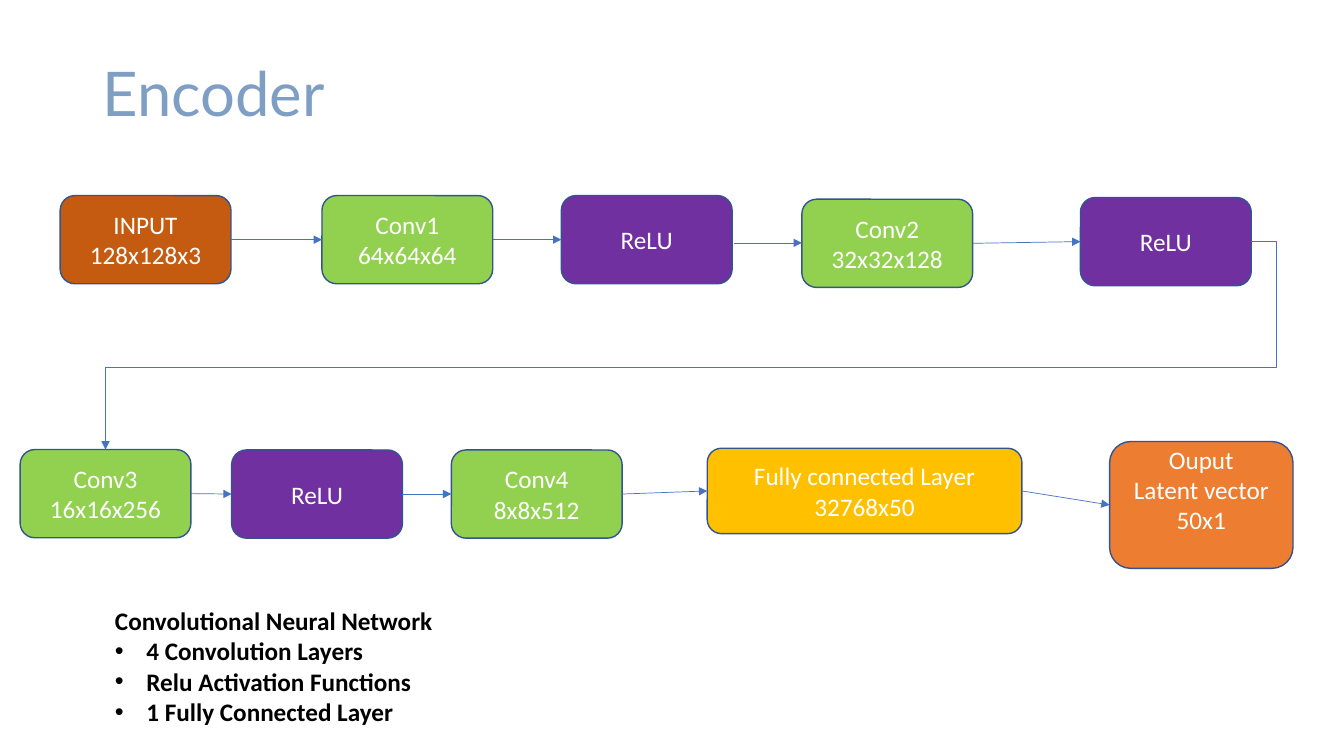
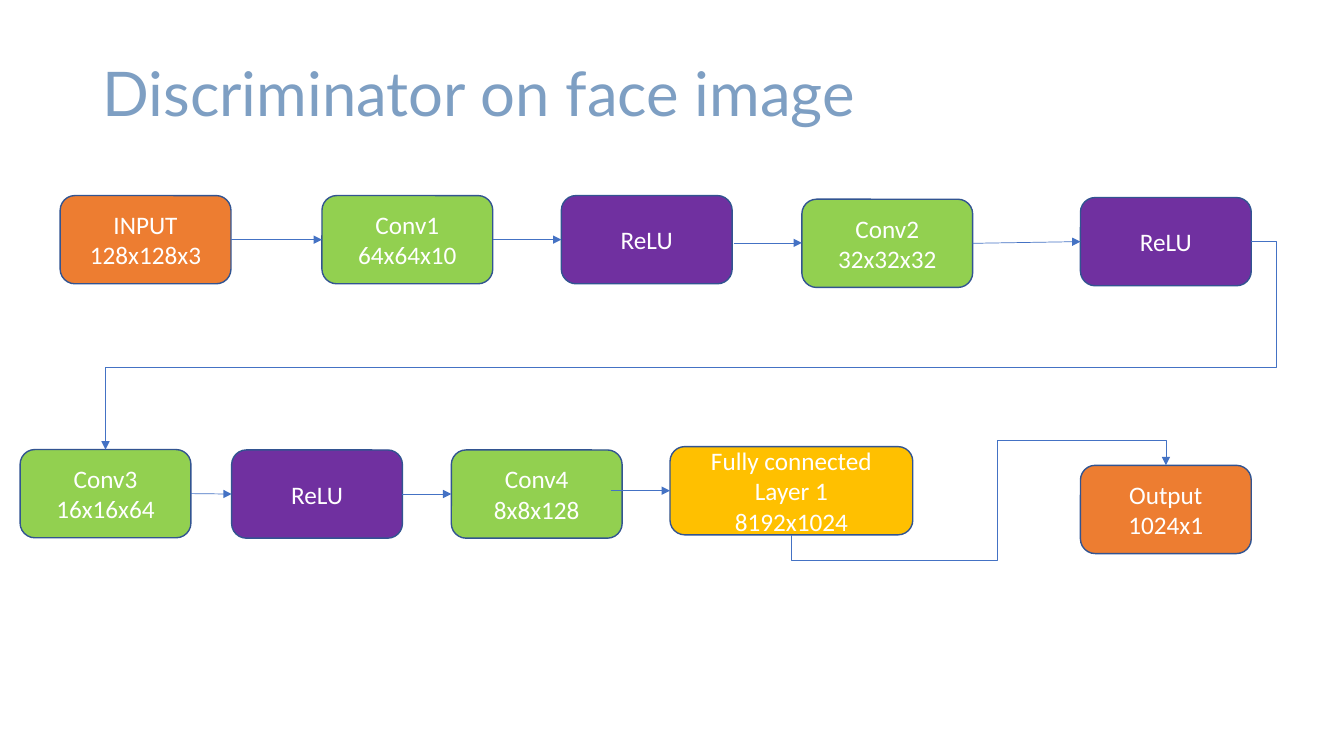
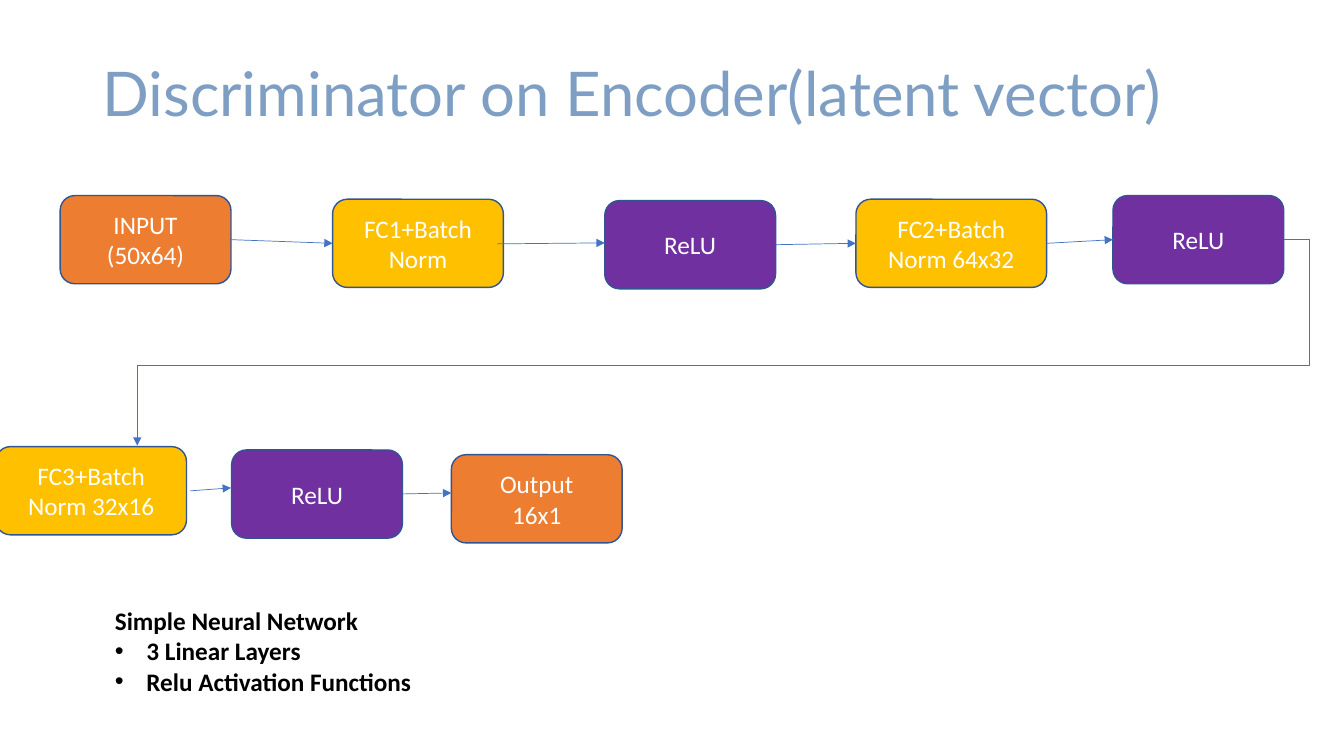
from dataclasses import dataclass
from typing import NamedTuple, Optional

from lxml import etree
from pptx import Presentation
from pptx.dml.color import RGBColor
from pptx.enum.shapes import MSO_CONNECTOR, MSO_SHAPE
from pptx.enum.text import MSO_ANCHOR, PP_ALIGN
from pptx.oxml.ns import qn
from pptx.util import Pt

ROUNDED = MSO_SHAPE.ROUNDED_RECTANGLE
STRAIGHT = MSO_CONNECTOR.STRAIGHT
ELBOW = MSO_CONNECTOR.ELBOW
MIDDLE = MSO_ANCHOR.MIDDLE
CENTER = PP_ALIGN.CENTER
LEFT = PP_ALIGN.LEFT
LEFT_SITE, RIGHT_SITE = 1, 3
TITLE_ONLY = 5


@dataclass(frozen=True)
class Theme:
    title: str = "7E9FC3"
    outline: str = "325491"
    arrow: str = "4472C4"
    light: str = "FFFFFF"
    dark: str = "000000"
    source: str = "C55A11"
    endpoint: str = "ED7D31"
    convolution: str = "92D050"
    activation: str = "7030A0"
    linear: str = "FFC000"
    title_font: str = "Lato"
    body_font: str = "Calibri"
    title_size: int = 44
    body_size: int = 18


THEME = Theme()
BLOCK_WIDTH, BLOCK_HEIGHT = 122, 63
STUB = 18
WRAP_DROP = 89.5
BULLET_INDENT = 22.5
LINE_HEIGHT = 22


class Point(NamedTuple):
    x: float
    y: float


class Segment(NamedTuple):
    start: Point
    end: Point


@dataclass(frozen=True)
class Block:
    """One network layer; entry replaces the default arrow from its predecessor."""
    text: str
    fill: str
    left: float
    top: float
    width: float = BLOCK_WIDTH
    height: float = BLOCK_HEIGHT
    bottom_inset: float = 3.6
    entry: Optional[Segment] = None

    @property
    def right_middle(self) -> Point:
        return Point(self.left + self.width, self.top + self.height / 2)

    @property
    def top_middle(self) -> Point:
        return Point(self.left + self.width / 2, self.top)

    @property
    def bottom_middle(self) -> Point:
        return Point(self.left + self.width / 2, self.top + self.height)


def relu(left: float, top: float, entry: Optional[Segment] = None) -> Block:
    return Block("ReLU", THEME.activation, left, top, entry=entry)


def format_text(paragraph, font_name: str, size: float, color: str, bold: bool = False) -> None:
    for run in paragraph.runs:
        run.font.name = font_name
        run.font.size = Pt(size)
        run.font.bold = bold
        run.font.color.rgb = RGBColor.from_string(color)


def add_titled_slide(presentation, title: str):
    slide = presentation.slides.add_slide(presentation.slide_layouts[TITLE_ONLY])
    shape = slide.shapes.title
    shape.left, shape.top, shape.width, shape.height = Pt(66), Pt(28.8), Pt(828), Pt(80.6)
    shape.text_frame.text = title
    shape.text_frame.vertical_anchor = MIDDLE
    paragraph = shape.text_frame.paragraphs[0]
    paragraph.alignment = LEFT
    paragraph.line_spacing = 0.9
    format_text(paragraph, THEME.title_font, THEME.title_size, THEME.title)
    return slide


def add_block(slide, block: Block):
    shape = slide.shapes.add_shape(
        ROUNDED, Pt(block.left), Pt(block.top), Pt(block.width), Pt(block.height))
    shape.shadow.inherit = False
    shape.fill.solid()
    shape.fill.fore_color.rgb = RGBColor.from_string(block.fill)
    shape.line.color.rgb = RGBColor.from_string(THEME.outline)
    shape.line.width = Pt(1)
    text_frame = shape.text_frame
    text_frame.word_wrap = True
    text_frame.vertical_anchor = MIDDLE
    text_frame.margin_bottom = Pt(block.bottom_inset)
    text_frame.text = block.text
    for paragraph in text_frame.paragraphs:
        paragraph.alignment = CENTER
        format_text(paragraph, THEME.body_font, THEME.body_size, THEME.light)
    return shape


def add_arrow(slide, kind, start: Point, end: Point):
    connector = slide.shapes.add_connector(
        kind, Pt(start.x), Pt(start.y), Pt(end.x), Pt(end.y))
    connector.line.color.rgb = RGBColor.from_string(THEME.arrow)
    connector.line.width = Pt(0.5)
    etree.SubElement(connector.line._get_or_add_ln(), qn("a:tailEnd"), type="triangle")
    etree.SubElement(connector._element.spPr, qn("a:effectLst"))
    return connector


def set_bends(connector, preset: str, ratios: list[float]) -> None:
    """Choose the elbow preset and place its bends as fractions of its box."""
    geometry = connector._element.spPr.find(qn("a:prstGeom"))
    geometry.set("prst", preset)
    guides = geometry.find(qn("a:avLst"))
    if guides is None:
        guides = etree.SubElement(geometry, qn("a:avLst"))
    for number, ratio in enumerate(ratios, start=1):
        etree.SubElement(guides, qn("a:gd"), name=f"adj{number}",
                         fmla=f"val {round(ratio * 100000)}")


def add_wrap_arrow(slide, start: Point, end: Point) -> None:
    """Lead from the right end of one row down to the start of the next."""
    connector = add_arrow(slide, ELBOW, start, end)
    set_bends(connector, "bentConnector4",
              [-STUB / (start.x - end.x), WRAP_DROP / (end.y - start.y)])


def add_detour_arrow(slide, start: Point, end: Point, middle_ratio: float) -> None:
    """Lead from a block's bottom, up between the blocks, into another's top."""
    center = Point((start.x + end.x) / 2, (start.y + end.y) / 2)
    rise, run = start.y - end.y, end.x - start.x
    connector = add_arrow(slide, ELBOW,
                          Point(center.x + rise / 2, center.y + run / 2),
                          Point(center.x - rise / 2, center.y - run / 2))
    connector._element.spPr.find(qn("a:xfrm")).set("rot", "5400000")
    set_bends(connector, "bentConnector5", [-STUB / rise, middle_ratio, 1 + STUB / rise])


def add_row(slide, blocks: list[Block]) -> None:
    shapes = [add_block(slide, block) for block in blocks]
    for previous, shape, block in zip(shapes, shapes[1:], blocks[1:]):
        if block.entry:
            add_arrow(slide, STRAIGHT, *block.entry)
        else:
            connector = add_arrow(slide, STRAIGHT, Point(0, 0), Point(1, 1))
            connector.begin_connect(previous, RIGHT_SITE)
            connector.end_connect(shape, LEFT_SITE)


def add_network(slide, first_row: list[Block], second_row: list[Block],
                wrap_end: Point) -> None:
    add_row(slide, first_row)
    add_row(slide, second_row)
    add_wrap_arrow(slide, first_row[-1].right_middle, wrap_end)


def add_summary(slide, heading: str, points: list[str]) -> None:
    lines = [heading, *points]
    box = slide.shapes.add_textbox(
        Pt(75), Pt(429), Pt(404.6), Pt(LINE_HEIGHT * len(lines) + 7))
    text_frame = box.text_frame
    text_frame.word_wrap = True
    text_frame.text = "\n".join(lines)
    for paragraph in text_frame.paragraphs[1:]:
        properties = paragraph._p.get_or_add_pPr()
        properties.set("marL", str(Pt(BULLET_INDENT)))
        properties.set("indent", str(-Pt(BULLET_INDENT)))
        etree.SubElement(properties, qn("a:buFont"), typeface="Arial")
        etree.SubElement(properties, qn("a:buChar"), char="•")
    for paragraph in text_frame.paragraphs:
        format_text(paragraph, THEME.body_font, THEME.body_size, THEME.dark, bold=True)


def convolution_rows(input_fill: str, labels: list[str]) -> tuple[list[Block], list[Block]]:
    """Lay out the four convolutions that both image networks begin with."""
    conv1, conv2, conv3, conv4 = labels
    conv2_entry = Segment(Point(524, 173.5), Point(572.8, 173.5))
    first_row = [
        Block("INPUT\n128x128x3", input_fill, 43, 139.7),
        Block(conv1, THEME.convolution, 230, 139.7),
        relu(401, 139.7),
        Block(conv2, THEME.convolution, 572.8, 142.3, entry=conv2_entry),
        relu(771.8, 141.1),
    ]
    second_row = [
        Block(conv3, THEME.convolution, 14.4, 321.1),
        relu(165.5, 321.4),
        Block(conv4, THEME.convolution, 322.4, 321.4),
    ]
    return first_row, second_row


def build_encoder(presentation) -> None:
    slide = add_titled_slide(presentation, "Encoder")
    first_row, second_row = convolution_rows(
        THEME.source,
        ["Conv1\n64x64x64", "Conv2\n32x32x128", "Conv3\n16x16x256", "Conv4\n8x8x512"])
    second_row += [
        Block("Fully connected Layer\n32768x50", THEME.linear, 505.2, 320.2, 224.8, 61),
        Block("Ouput\nLatent vector\n50x1", THEME.endpoint, 792.6, 315.4, 131, 90.6,
              bottom_inset=25.6),
    ]
    add_network(slide, first_row, second_row, second_row[0].top_middle)
    add_summary(slide, "Convolutional Neural Network",
                ["4 Convolution Layers", "Relu Activation Functions", "1 Fully Connected Layer"])


def build_image_discriminator(presentation) -> None:
    slide = add_titled_slide(presentation, "Discriminator on face image")
    first_row, second_row = convolution_rows(
        THEME.endpoint,
        ["Conv1\n64x64x10", "Conv2\n32x32x32", "Conv3 16x16x64", "Conv4\n8x8x128"])
    connected = Block("Fully connected Layer 1\n8192x1024", THEME.linear, 478.6, 319, 173.4,
                      entry=Segment(Point(436.4, 350.5), Point(478.6, 350.5)))
    output = Block("Output\n1024x1", THEME.endpoint, 771.8, 332.4)
    add_network(slide, first_row, second_row + [connected], second_row[0].top_middle)
    add_block(slide, output)
    add_detour_arrow(slide, connected.bottom_middle, output.top_middle, 0.55)


def build_latent_discriminator(presentation) -> None:
    slide = add_titled_slide(presentation, "Discriminator on Encoder(latent vector)")
    first_row = [
        Block("INPUT\n(50x64)", THEME.endpoint, 43, 139.7),
        Block("FC1+Batch Norm", THEME.linear, 237.6, 142.3),
        relu(432, 143.3, Segment(Point(355, 174.2), Point(432, 173.5))),
        Block("FC2+Batch Norm 64x32", THEME.linear, 611.4, 142.3, 136.2),
        relu(795, 139.7),
    ]
    second_row = [
        Block("FC3+Batch Norm 32x16", THEME.linear, -3, 319, 136.2),
        relu(165.5, 321.4, Segment(Point(136, 350.6), Point(165, 348.5))),
        Block("Output\n16x1", THEME.endpoint, 322.4, 324.8,
              entry=Segment(Point(287.5, 352.8), Point(322.4, 352.1))),
    ]
    add_network(slide, first_row, second_row, Point(98, 318.3))
    add_summary(slide, "Simple Neural Network",
                ["3 Linear Layers", "Relu Activation Functions"])


def main() -> None:
    presentation = Presentation()
    presentation.slide_width, presentation.slide_height = Pt(960), Pt(540)
    build_encoder(presentation)
    build_image_discriminator(presentation)
    build_latent_discriminator(presentation)
    presentation.save("out.pptx")


if __name__ == "__main__":
    main()
